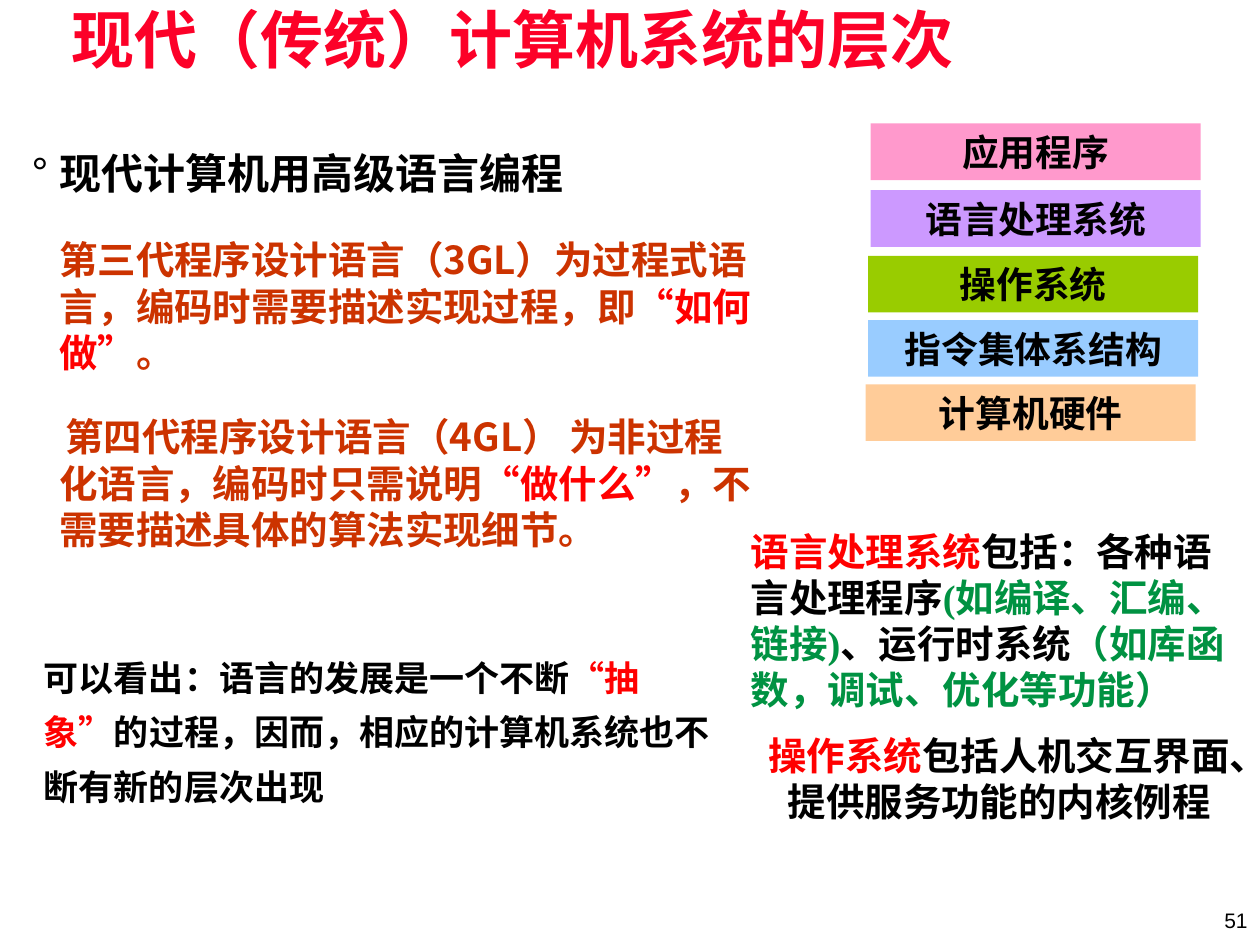
from lxml.etree import SubElement as Sub
from pptx import Presentation
from pptx.dml.color import RGBColor as Rgb
from pptx.enum.shapes import MSO_SHAPE as Kind
from pptx.enum.text import MSO_ANCHOR as Anchor, MSO_AUTO_SIZE as Auto, PP_ALIGN as Align
from pptx.oxml.ns import qn
from pptx.util import Pt

PX = 9144
SANS, SERIF, PLAIN = "Noto Sans CJK SC", "Times New Roman", "Arial"
INK = {"title": "FC0128", "black": "000000", "rust": "CC3300", "red": "FF0000",
       "green": "009242", "pink": "FF99CC", "violet": "CC99FF", "lime": "99CC00",
       "sky": "99CCFF", "peach": "FFCC99"}
LAYERS = [("应用程序", "pink", 4, 0), ("语言处理系统", "violet", 4, 53),
          ("操作系统", "lime", 2, 105), ("指令集体系结构", "sky", 2, 156),
          ("计算机硬件", "peach", 0, 207)]
POINTS = [
    [("现代计算机用高级语言编程", "black")],
    [("第三代程序设计语言（3GL）为过程式语言，编码时需要描述实现过程，即", "rust"),
     ("“如何做”", "red"), ("。", "rust")],
    [("第四代程序设计语言（4GL） 为非过程化语言，编码时只需说明", "rust"),
     ("“做什么”", "red"), ("，不需要描述具体的算法实现细节。", "rust")]]
REMARK = [("可以看出：语言的发展是一个不断", "black"), ("“抽象”", "red"),
          ("的过程，因而，相应的计算机系统也不断有新的层次出现", "black")]
NOTES = [
    [("语言处理系统", "red"), ("包括：各种语言处理程序", "black"),
     ("(如编译、汇编、链接)", "green"), ("、运行时系统", "black"),
     ("（如库函数，调试、优化等功能）", "green")],
    [("操作系统", "red"), ("包括人机交互界面、提供服务功能的内核例程", "black")]]


def scale(box):
    """Turn a box in px into EMU."""
    return [n * PX for n in box]


def place(shape, box):
    """Move a placeholder to a box and set its insets."""
    shape.left, shape.top, shape.width, shape.height = scale(box)
    frame = shape.text_frame
    frame.margin_left = frame.margin_right = 7 * PX
    frame.margin_top = frame.margin_bottom = 3 * PX
    frame.vertical_anchor, frame.auto_size = Anchor.TOP, Auto.NONE
    return frame


def add_box(slide, box):
    """Add a wrapping text box and return its frame."""
    frame = slide.shapes.add_textbox(*scale(box)).text_frame
    frame.word_wrap = True
    return frame


def fill(para, parts, size, face, bold=True, gap=0, align=Align.LEFT):
    """Write coloured runs into a paragraph with one font."""
    para.alignment, para.space_before = align, Pt(gap)
    font = para.font
    font.size, font.name, font.bold = Pt(size), face, bold
    for text, ink in parts:
        run = para.add_run()
        run.text = text
        run.font.color.rgb = Rgb.from_string(INK[ink])


def indent(para, left, first, mark=None):
    """Set the indents in px and the bullet of a paragraph."""
    props = para._p.get_or_add_pPr()
    props.set("marL", str(left * PX))
    props.set("indent", str(first * PX))
    if mark:
        Sub(props, qn("a:buFont"), typeface=PLAIN)
        Sub(props, qn("a:buChar"), char=mark)
    else:
        Sub(props, qn("a:buNone"))


def add_title(slide, box):
    """Fill the title."""
    para = place(slide.shapes.title, box).paragraphs[0]
    para.line_spacing = 0.87
    fill(para, [("现代（传统）计算机系统的层次", "title")], 36, PLAIN)


def add_points(slide, box):
    """Fill the body list with a bullet and two indented paragraphs."""
    frame = place(slide.placeholders[1], box)
    styles = [(24, 0, -22, "°"), (22, 22, 0, None), (22, 22, 5, None)]
    for i, (parts, style) in enumerate(zip(POINTS, styles)):
        size, gap, first, mark = style
        para = frame.add_paragraph() if i else frame.paragraphs[0]
        indent(para, 22, first, mark)
        fill(para, parts, size, SANS, gap=gap)


def add_stack(slide, box):
    """Draw the system layers from top to bottom."""
    left, top, wide, high = box
    for text, ink, dx, dy in LAYERS:
        bar = slide.shapes.add_shape(
            Kind.RECTANGLE, *scale((left + dx, top + dy, wide, high)))
        bar.shadow.inherit = False
        bar.fill.solid()
        bar.fill.fore_color.rgb = Rgb.from_string(INK[ink])
        bar.line.fill.background()
        bar.text_frame.vertical_anchor = Anchor.MIDDLE
        fill(bar.text_frame.paragraphs[0], [(text, "black")], 21, SERIF,
             align=Align.CENTER)


def add_remark(slide, box):
    """Write the closing remark."""
    para = add_box(slide, box).paragraphs[0]
    para.line_spacing = 1.3
    fill(para, REMARK, 20, SANS)


def add_notes(slide, box):
    """Explain two of the layers."""
    frame = add_box(slide, box)
    fill(frame.paragraphs[0], NOTES[0], 22, SERIF)
    fill(frame.add_paragraph(), NOTES[1], 22, SERIF, gap=11, align=Align.CENTER)


def add_page(slide, box):
    """Write the page number."""
    frame = add_box(slide, box)
    frame.vertical_anchor = Anchor.MIDDLE
    fill(frame.paragraphs[0], [("51", "black")], 12, PLAIN, False, align=Align.RIGHT)


def main():
    """Build the slide."""
    deck = Presentation()
    deck.slide_width, deck.slide_height = scale((1000, 750))
    slide = deck.slides.add_slide(deck.slide_layouts[1])
    add_title(slide, (50, 6, 900, 61))
    add_points(slide, (18, 114, 591, 416))
    add_stack(slide, (687, 98, 262, 45))
    add_remark(slide, (25, 506, 554, 141))
    add_notes(slide, (586, 414, 414, 251))
    add_page(slide, (775, 710, 225, 40))
    deck.save("out.pptx")


if __name__ == "__main__":
    main()
